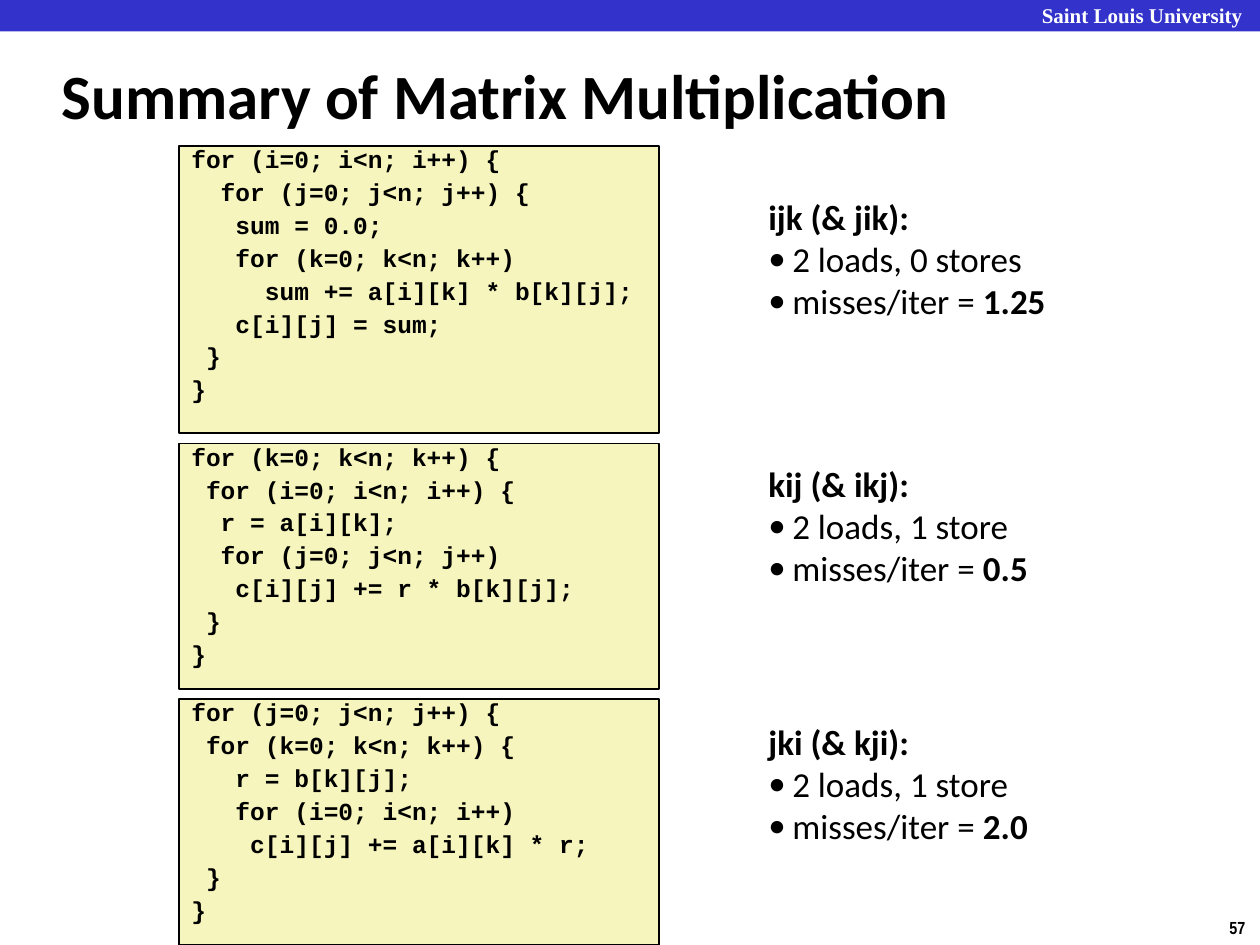
from lxml.etree import SubElement
from pptx import Presentation
from pptx.dml.color import RGBColor
from pptx.enum.shapes import MSO_SHAPE as Shape
from pptx.enum.text import MSO_ANCHOR as Anchor
from pptx.oxml.ns import qn
from pptx.util import Inches, Pt

BLACK = RGBColor(0x00, 0x00, 0x00)
WHITE = RGBColor(0xFF, 0xFF, 0xFF)
BANNER_BLUE = RGBColor(0x33, 0x33, 0xCC)
CODE_YELLOW = RGBColor(0xF6, 0xF5, 0xBD)

CELL = Inches(0.1)
COLUMNS, ROWS = 100, 75
CODE_COLUMN, CODE_COLUMNS = 14.2, 38.1
COST_COLUMN, COST_COLUMNS, COST_ROWS = 60, 25.4, 11.1
BULLET_INDENT = Inches(0.19)

IJK_CODE = """for (i=0; i<n; i++) {
  for (j=0; j<n; j++) {
   sum = 0.0;
   for (k=0; k<n; k++)
     sum += a[i][k] * b[k][j];
   c[i][j] = sum;
 }
}"""
KIJ_CODE = """for (k=0; k<n; k++) {
 for (i=0; i<n; i++) {
  r = a[i][k];
  for (j=0; j<n; j++)
   c[i][j] += r * b[k][j];
 }
}"""
JKI_CODE = """for (j=0; j<n; j++) {
 for (k=0; k<n; k++) {
   r = b[k][j];
   for (i=0; i<n; i++)
    c[i][j] += a[i][k] * r;
 }
}"""

VERSIONS = [
    (IJK_CODE, 11.6, 22.8, "ijk (& jik):", "2 loads, 0 stores", "1.25", 15),
    (KIJ_CODE, 35.2, 19.5, "kij (& ikj):", "2 loads, 1 store", "0.5", 36.2),
    (JKI_CODE, 55.5, 19.5, "jki (& kji):", "2 loads, 1 store", "2.0", 56.7),
]


def grid(*cells):
    return [round(cell * CELL) for cell in cells]


def write(paragraph, text, size, font="Calibri", color=BLACK, bold=True):
    run = paragraph.add_run()
    run.text = text
    run.font.name = font
    run.font.size = Pt(size)
    run.font.bold = bold
    run.font.color.rgb = color


def add_label(slide, area, text, size, anchor=Anchor.TOP, wrap=True, **style):
    frame = slide.shapes.add_textbox(*grid(*area)).text_frame
    frame.word_wrap = wrap
    frame.vertical_anchor = anchor
    write(frame.paragraphs[0], text, size, **style)
    return frame


def add_panel(slide, area, fill):
    panel = slide.shapes.add_shape(Shape.RECTANGLE, *grid(*area))
    panel.shadow.inherit = False
    panel.fill.solid()
    panel.fill.fore_color.rgb = fill
    panel.line.fill.background()
    return panel


def add_code(slide, row, rows, code):
    panel = add_panel(slide, (CODE_COLUMN, row, CODE_COLUMNS, rows), CODE_YELLOW)
    panel.line.color.rgb = BLACK
    panel.line.width = Pt(1)
    frame = panel.text_frame
    frame.word_wrap = True
    frame.vertical_anchor = Anchor.TOP
    for number, line in enumerate(code.splitlines()):
        paragraph = frame.add_paragraph() if number else frame.paragraphs[0]
        paragraph.alignment = 1
        paragraph.line_spacing = 0.7
        if number:
            before = paragraph._p.get_or_add_pPr().get_or_add_spcBef()
            SubElement(before, qn("a:spcPct"), val="50000")
        write(paragraph, line, 14, font="Courier New")


def add_bullet(frame):
    paragraph = frame.add_paragraph()
    properties = paragraph._p.get_or_add_pPr()
    properties.set("marL", str(BULLET_INDENT))
    properties.set("indent", str(-BULLET_INDENT))
    SubElement(properties, qn("a:buFont"), typeface="Calibri")
    SubElement(properties, qn("a:buChar"), char="•")
    return paragraph


def add_cost(slide, row, order, accesses, misses):
    area = (COST_COLUMN, row, COST_COLUMNS, COST_ROWS)
    frame = add_label(slide, area, order, 20)
    write(add_bullet(frame), accesses, 20, bold=False)
    miss_rate = add_bullet(frame)
    write(miss_rate, "misses/iter = ", 20, bold=False)
    write(miss_rate, misses, 20)


def main():
    deck = Presentation()
    deck.slide_width, deck.slide_height = grid(COLUMNS, ROWS)
    slide = deck.slides.add_slide(deck.slide_layouts[6])

    add_panel(slide, (0, 0, COLUMNS, 2.5), BANNER_BLUE)
    add_label(slide, (81.7, -0.3, 19, 3), "Saint Louis University", 12,
              font="Times New Roman", color=WHITE)
    add_label(slide, (96.6, 72.3, 3.4, 2.7), "57", 10, wrap=False,
              font="Arial Narrow")
    add_label(slide, (3.9, 3.3, 83, 8.3), "Summary of Matrix Multiplication", 36,
              anchor=Anchor.MIDDLE)

    for code, code_row, code_rows, order, accesses, misses, cost_row in VERSIONS:
        add_cost(slide, cost_row, order, accesses, misses)
        add_code(slide, code_row, code_rows, code)

    deck.save("out.pptx")


if __name__ == "__main__":
    main()
